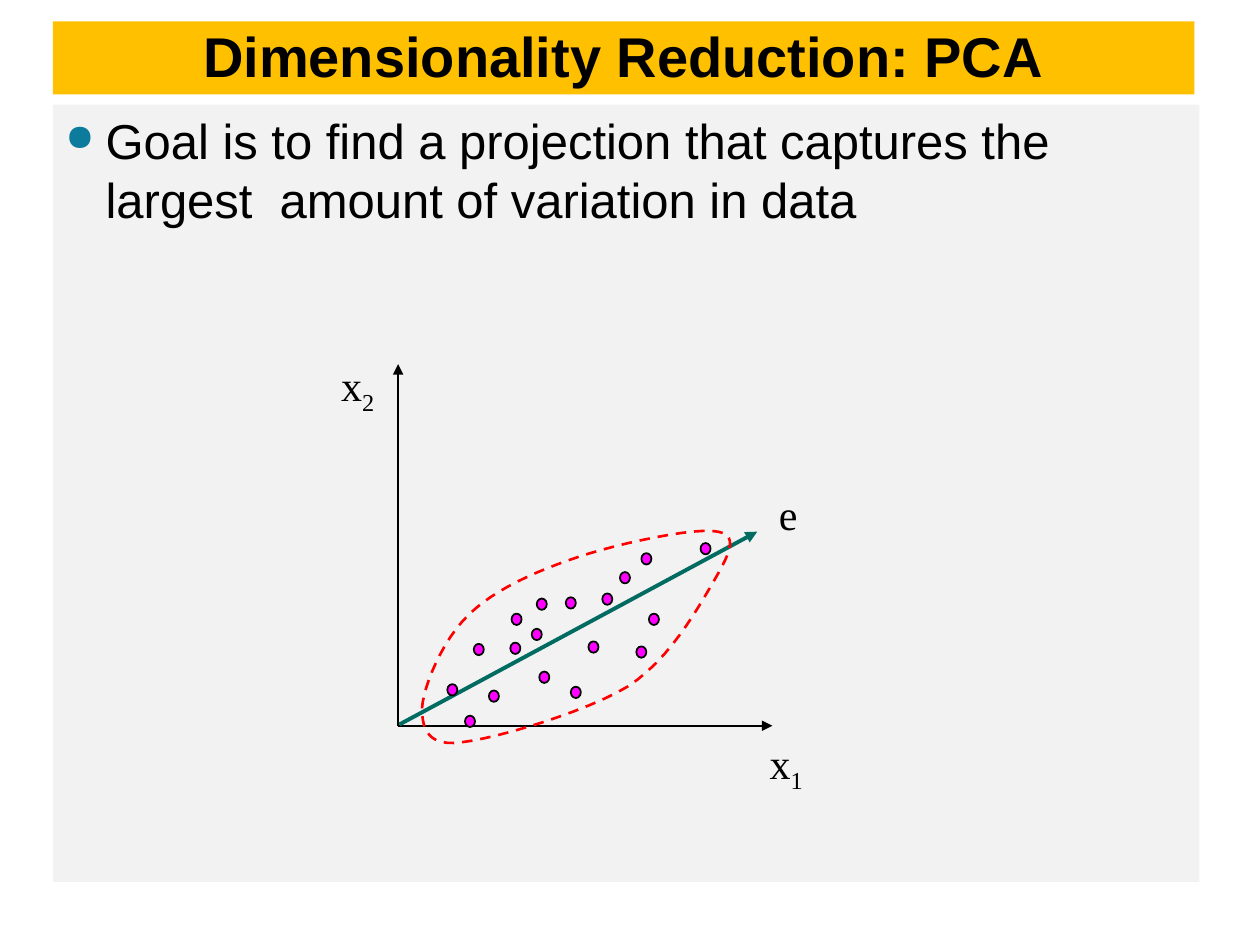
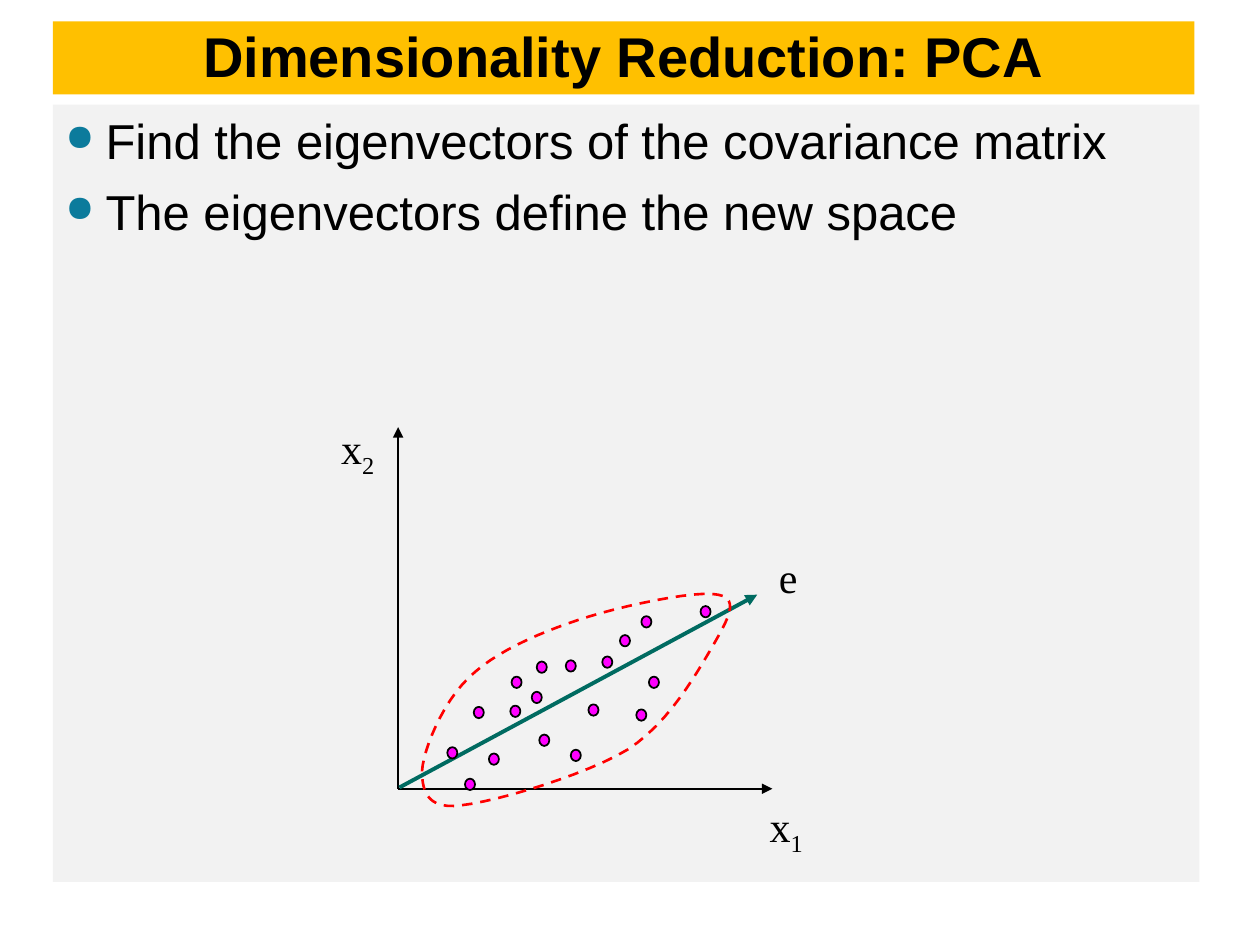
from lxml.etree import SubElement
from pptx import Presentation
from pptx.dml.color import RGBColor
from pptx.enum.dml import MSO_LINE_DASH_STYLE as DASH
from pptx.enum.shapes import MSO_CONNECTOR as CONN, MSO_SHAPE as SHAPE
from pptx.enum.text import MSO_ANCHOR as ANCHOR, MSO_AUTO_SIZE as AUTO, PP_ALIGN as ALIGN
from pptx.oxml.ns import qn
from pptx.util import Inches, Pt

COLORS = {"band": "FFC000", "panel": "F2F2F2", "text": "000000", "bullet": "0C7B9C",
          "axis": "000000", "eigenvector": "006B61", "dot": "FF00FF", "outline": "FF0000"}
TITLE_FONT = {"name": "Arial", "size": Pt(32), "bold": True}
BODY_FONT = {"name": "Arial", "size": Pt(28)}
LABEL_FONT = {"name": "Times New Roman", "size": Pt(24)}
TITLE_BOX = (0.42, 0.17, 9.06, 0.58)
BODY_BOX = (0.42, 0.83, 9.1, 6.17)

TITLE = "Dimensionality Reduction: PCA"
SLIDES = [
    (["Goal is to find a projection that captures the largest  amount of variation in data"],
     (3.16, 5.76)),
    (["Find the eigenvectors of the covariance matrix",
      "The eigenvectors define the new space"], (3.16, 6.26)),
]

ARROWS = [((0, 0), (0, -2.87), "axis", 1), ((0, 0), (2.97, 0), "axis", 1),
          ((0.01, -0.01), (2.85, -1.54), "eigenvector", 2.25)]
DOT_SIZE = (0.08, 0.09)
DOTS = [(0.6, -0.65), (0.9, -0.89), (0.39, -0.33), (1.06, -0.77), (0.89, -0.66),
        (1.51, -0.67), (1.37, -0.31), (1.12, -0.43), (1.33, -1.02), (1.99, -0.89),
        (2.4, -1.45), (0.72, -0.28), (1.62, -1.05), (1.93, -1.37), (1.1, -1.01),
        (1.76, -1.22), (1.89, -0.63), (0.53, -0.08)]
OUTLINE_START = (0.19, -0.14)
OUTLINE_CURVES = [
    ((0.2, -0.31), (0.35, -0.68), (0.56, -0.88)),
    ((0.76, -1.08), (1.1, -1.23), (1.43, -1.34)),
    ((1.76, -1.45), (2.37, -1.58), (2.54, -1.54)),
    ((2.72, -1.51), (2.61, -1.33), (2.49, -1.12)),
    ((2.37, -0.92), (2.15, -0.52), (1.82, -0.31)),
    ((1.49, -0.11), (0.78, 0.1), (0.51, 0.13)),
    ((0.24, 0.17), (0.19, 0.03), OUTLINE_START),
]
CURVE_STEPS = 12
LABELS = [("x", "2", (-0.56, -2.93, 0.48, 0.5)), ("x", "1", (2.84, 0.07, 0.48, 0.5)),
          ("e", "", (2.92, -1.93, 0.35, 0.5))]


def rgb(name):
    """Return the named colour."""
    return RGBColor.from_string(COLORS[name])


def inches(values):
    """Convert numbers to lengths."""
    return [Inches(v) for v in values]


def set_line(line, color, width):
    """Give a line its colour and width in points."""
    line.color.rgb = rgb(color)
    line.width = Pt(width)


def add_filled(s, kind, box, fill):
    """Add a flat shape without an outline."""
    sp = s.shapes.add_shape(kind, *inches(box))
    sp.shadow.inherit = False
    sp.fill.solid()
    sp.fill.fore_color.rgb = rgb(fill)
    sp.line.fill.background()
    return sp


def add_run(p, text, font):
    """Add a run with the given font values."""
    r = p.add_run()
    r.text = text
    for key, value in font.items():
        setattr(r.font, key, value)
    r.font.color.rgb = rgb("text")
    return r


def add_bullet(p):
    """Give a paragraph a hanging round bullet."""
    pPr = p._p.get_or_add_pPr()
    pPr.set("marL", str(Inches(0.32)))
    pPr.set("indent", str(Inches(-0.32)))
    SubElement(SubElement(pPr, qn("a:buClr")), qn("a:srgbClr")).set("val", COLORS["bullet"])
    SubElement(pPr, qn("a:buSzPct")).set("val", "75000")
    SubElement(pPr, qn("a:buChar")).set("char", "●")


def add_title(s, box, text):
    """Add the title band."""
    tf = add_filled(s, SHAPE.RECTANGLE, box, "band").text_frame
    tf.word_wrap = True
    tf.vertical_anchor = ANCHOR.BOTTOM
    p = tf.paragraphs[0]
    p.alignment = ALIGN.CENTER
    p.line_spacing = Pt(36)
    add_run(p, text, TITLE_FONT)


def add_body(s, box, items):
    """Add the grey panel with its bullet points."""
    tf = add_filled(s, SHAPE.RECTANGLE, box, "panel").text_frame
    tf.word_wrap = True
    tf.vertical_anchor = ANCHOR.TOP
    for i, item in enumerate(items):
        p = tf.add_paragraph() if i else tf.paragraphs[0]
        p.alignment = ALIGN.LEFT
        p.space_before, p.space_after = Pt(3), Pt(4)
        add_bullet(p)
        add_run(p, item, BODY_FONT)


def add_arrow(s, start, end, color, width):
    """Add a straight arrow."""
    c = s.shapes.add_connector(CONN.STRAIGHT, *inches(start + end))
    set_line(c.line, color, width)
    spPr = c._element.spPr
    SubElement(spPr.find(qn("a:ln")), qn("a:tailEnd")).set("type", "triangle")
    SubElement(spPr, qn("a:effectLst"))


def outline_points():
    """Return points along the cubic curves of the cluster outline."""
    points, start = [], OUTLINE_START
    for a, b, end in OUTLINE_CURVES:
        for step in range(1, CURVE_STEPS + 1):
            t = step / CURVE_STEPS
            u = 1 - t
            points.append(tuple(
                u ** 3 * p0 + 3 * u * u * t * p1 + 3 * u * t * t * p2 + t ** 3 * p3
                for p0, p1, p2, p3 in zip(start, a, b, end)))
        start = end
    return points


def add_outline(s, at):
    """Add the dashed outline around the cluster."""
    start, *points = [inches(at(*pt)) for pt in [OUTLINE_START] + outline_points()]
    fb = s.shapes.build_freeform(*start)
    fb.add_line_segments(points, close=True)
    sp = fb.convert_to_shape()
    sp.shadow.inherit = False
    sp.fill.background()
    set_line(sp.line, "outline", 1.5)
    sp.line.dash_style = DASH.DASH


def add_label(s, box, text, subscript):
    """Add an axis label with an optional subscript."""
    tf = s.shapes.add_textbox(*inches(box)).text_frame
    tf.word_wrap = False
    tf.auto_size = AUTO.SHAPE_TO_FIT_TEXT
    tf.vertical_anchor = ANCHOR.MIDDLE
    p = tf.paragraphs[0]
    p.alignment = ALIGN.CENTER
    add_run(p, text, LABEL_FONT)
    if subscript:
        r = add_run(p, subscript, LABEL_FONT)
        r._r.get_or_add_rPr().set("baseline", "-25000")


def add_plot(s, origin):
    """Add the scatter diagram relative to the origin of its axes."""
    def at(x, y):
        """Move a point from the axes to the slide."""
        return origin[0] + x, origin[1] + y

    for start, end, color, width in ARROWS:
        add_arrow(s, at(*start), at(*end), color, width)
    for dot in DOTS:
        sp = add_filled(s, SHAPE.OVAL, at(*dot) + DOT_SIZE, "dot")
        set_line(sp.line, "axis", 1)
    add_outline(s, at)
    for text, subscript, (x, y, w, h) in LABELS:
        add_label(s, at(x, y) + (w, h), text, subscript)


def main():
    """Build and save the slides."""
    prs = Presentation()
    prs.slide_width, prs.slide_height = Inches(10), Inches(7.5)
    for items, origin in SLIDES:
        s = prs.slides.add_slide(prs.slide_layouts[6])
        add_title(s, TITLE_BOX, TITLE)
        add_body(s, BODY_BOX, items)
        add_plot(s, origin)
    prs.save("out.pptx")


if __name__ == "__main__":
    main()
